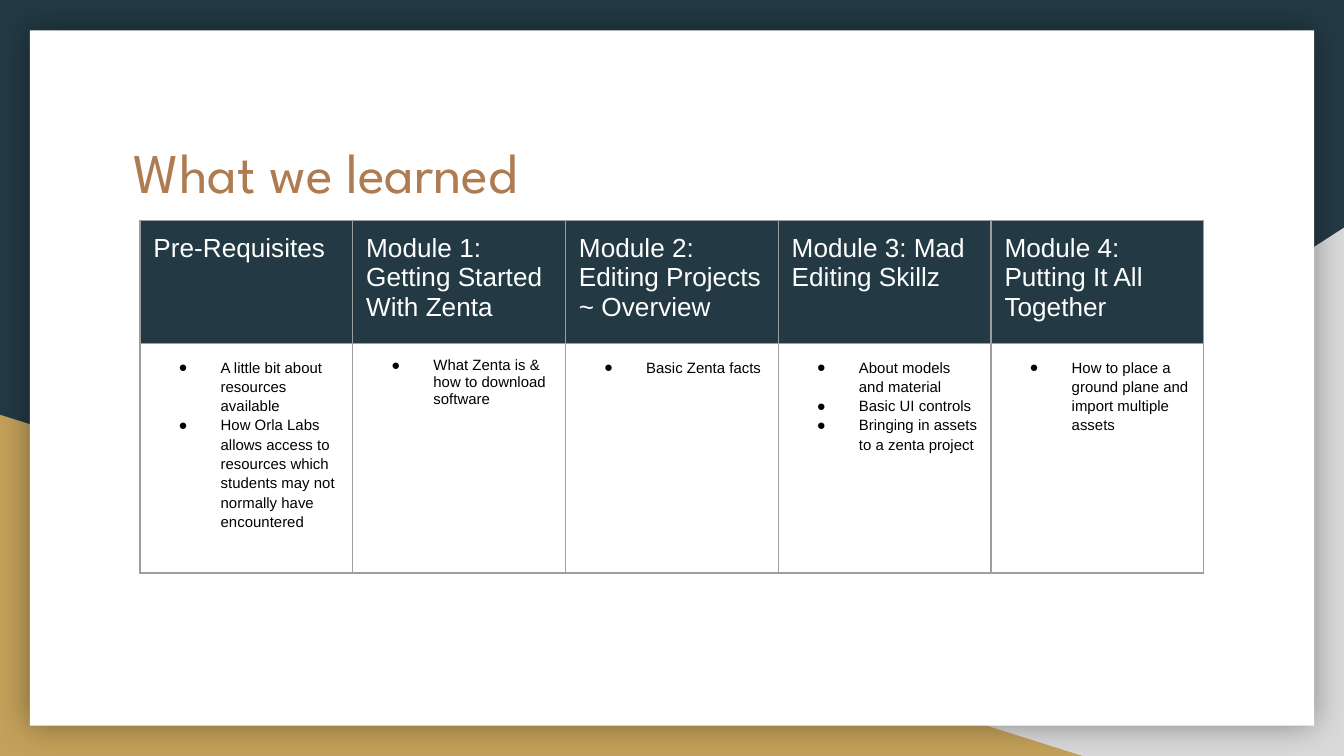
from lxml import etree
from pptx import Presentation
from pptx.dml.color import RGBColor
from pptx.enum.shapes import MSO_SHAPE
from pptx.enum.text import MSO_ANCHOR
from pptx.oxml import parse_xml
from pptx.oxml.ns import nsdecls, qn
from pptx.util import Pt

RECTANGLE = MSO_SHAPE.RECTANGLE
RIGHT_TRIANGLE = MSO_SHAPE.RIGHT_TRIANGLE
TOP = MSO_ANCHOR.TOP

NAVY, GOLD, GREY = "233A44", "C4A15A", "D9D9D9"
WHITE, BLACK, COPPER, BORDER = "FFFFFF", "000000", "AF7B51", "9E9E9E"
INSET = 7.2

# Heading, line spacing of the body, bullet points
MODULES = [
    ("Pre-Requisites", 1.15, [
        "A little bit about resources available",
        "How Orla Labs allows access to resources which students may not "
        "normally have encountered"]),
    ("Module 1: Getting Started With Zenta", 1.0, [
        "What Zenta is & how to download software"]),
    ("Module 2: Editing Projects ~ Overview", 1.15, ["Basic Zenta facts"]),
    ("Module 3: Mad Editing Skillz", 1.15, [
        "About models and material",
        "Basic UI controls",
        "Bringing in assets to a zenta project"]),
    ("Module 4: Putting It All Together", 1.15, [
        "How to place a ground plane and import multiple assets"]),
]


def color(value):
    return RGBColor.from_string(value)


def style_font(paragraph, name, size, font_color):
    paragraph.font.name = name
    paragraph.font.size = Pt(size)
    paragraph.font.color.rgb = color(font_color)


def set_margins(target):
    target.margin_left = target.margin_right = Pt(INSET)
    target.margin_top = target.margin_bottom = Pt(INSET)


def add_panel(slide, kind, box, fill):
    shape = slide.shapes.add_shape(kind, *map(Pt, box))
    shape.shadow.inherit = False
    shape.fill.solid()
    shape.fill.fore_color.rgb = color(fill)
    shape.line.fill.background()
    return shape


def add_glow_shadow(shape):
    """Give the shape an even soft shadow on all sides."""
    effects = shape.element.spPr.find(qn("a:effectLst"))
    effects.append(parse_xml(
        f'<a:outerShdw {nsdecls("a")} blurRad="{Pt(18)}" dist="0" dir="0" '
        f'algn="ctr" rotWithShape="0"><a:srgbClr val="{BLACK}">'
        '<a:alpha val="40000"/></a:srgbClr></a:outerShdw>'))


def add_backdrop(slide, width, height):
    slide.background.fill.solid()
    slide.background.fill.fore_color.rgb = color(NAVY)
    grey_left, grey_top, gold_top = 282, 122, 222.2
    right = add_panel(slide, RIGHT_TRIANGLE, (
        grey_left, grey_top, width - grey_left, height - grey_top), GREY)
    right.element.spPr.xfrm.set("flipH", "1")
    add_panel(slide, RIGHT_TRIANGLE, (0, gold_top, 580, height - gold_top), GOLD)
    card = add_panel(slide, RECTANGLE, (16, 16.2, 688, 372.5), WHITE)
    add_glow_shadow(card)


def add_title(slide, box, text):
    frame = slide.shapes.add_textbox(*map(Pt, box)).text_frame
    frame.word_wrap = True
    frame.vertical_anchor = TOP
    set_margins(frame)
    paragraph = frame.paragraphs[0]
    paragraph.text = text
    style_font(paragraph, "League Spartan", 30, COPPER)


def add_bullet(paragraph):
    properties = paragraph._p.get_or_add_pPr()
    properties.set("marL", str(Pt(36)))
    properties.set("indent", str(-Pt(22.5)))
    bullet_color = etree.SubElement(properties, qn("a:buClr"))
    etree.SubElement(bullet_color, qn("a:srgbClr"), val=BLACK)
    etree.SubElement(properties, qn("a:buFont"), typeface="Arial")
    etree.SubElement(properties, qn("a:buChar"), char="●")


def add_borders(cell):
    properties = cell._tc.get_or_add_tcPr()
    for position, side in enumerate(("lnL", "lnR", "lnT", "lnB")):
        properties.insert(position, parse_xml(
            f'<a:{side} {nsdecls("a")} w="{Pt(0.75)}"><a:solidFill>'
            f'<a:srgbClr val="{BORDER}"/></a:solidFill></a:{side}>'))


def fill_cell(cell, lines, size, font_color, fill=None, spacing=None, bullets=False):
    set_margins(cell)
    if fill:
        cell.fill.solid()
        cell.fill.fore_color.rgb = color(fill)
    else:
        cell.fill.background()
    add_borders(cell)
    cell.text_frame.text = "\n".join(lines)
    for paragraph in cell.text_frame.paragraphs:
        if spacing:
            paragraph.line_spacing = spacing
        if bullets:
            add_bullet(paragraph)
        style_font(paragraph, "Arial", size, font_color)


def add_module_table(slide, box, header_height):
    left, top, width, height = box
    table = slide.shapes.add_table(2, len(MODULES), *map(Pt, box)).table
    table.rows[0].height = Pt(header_height)
    table.rows[1].height = Pt(height - header_height)
    for index, (heading, spacing, points) in enumerate(MODULES):
        table.columns[index].width = Pt(width / len(MODULES))
        fill_cell(table.cell(0, index), [heading], 14, WHITE, fill=NAVY)
        fill_cell(table.cell(1, index), points, 8, BLACK,
                  spacing=spacing, bullets=True)


def main():
    width, height = 720, 405
    presentation = Presentation()
    presentation.slide_width, presentation.slide_height = Pt(width), Pt(height)
    slide = presentation.slides.add_slide(presentation.slide_layouts[6])
    add_backdrop(slide, width, height)
    add_title(slide, (64.5, 66.5, 591, 74.5), "What we learned")
    add_module_table(slide, (75, 118, 570, 189), 66)
    presentation.save("out.pptx")


if __name__ == "__main__":
    main()
